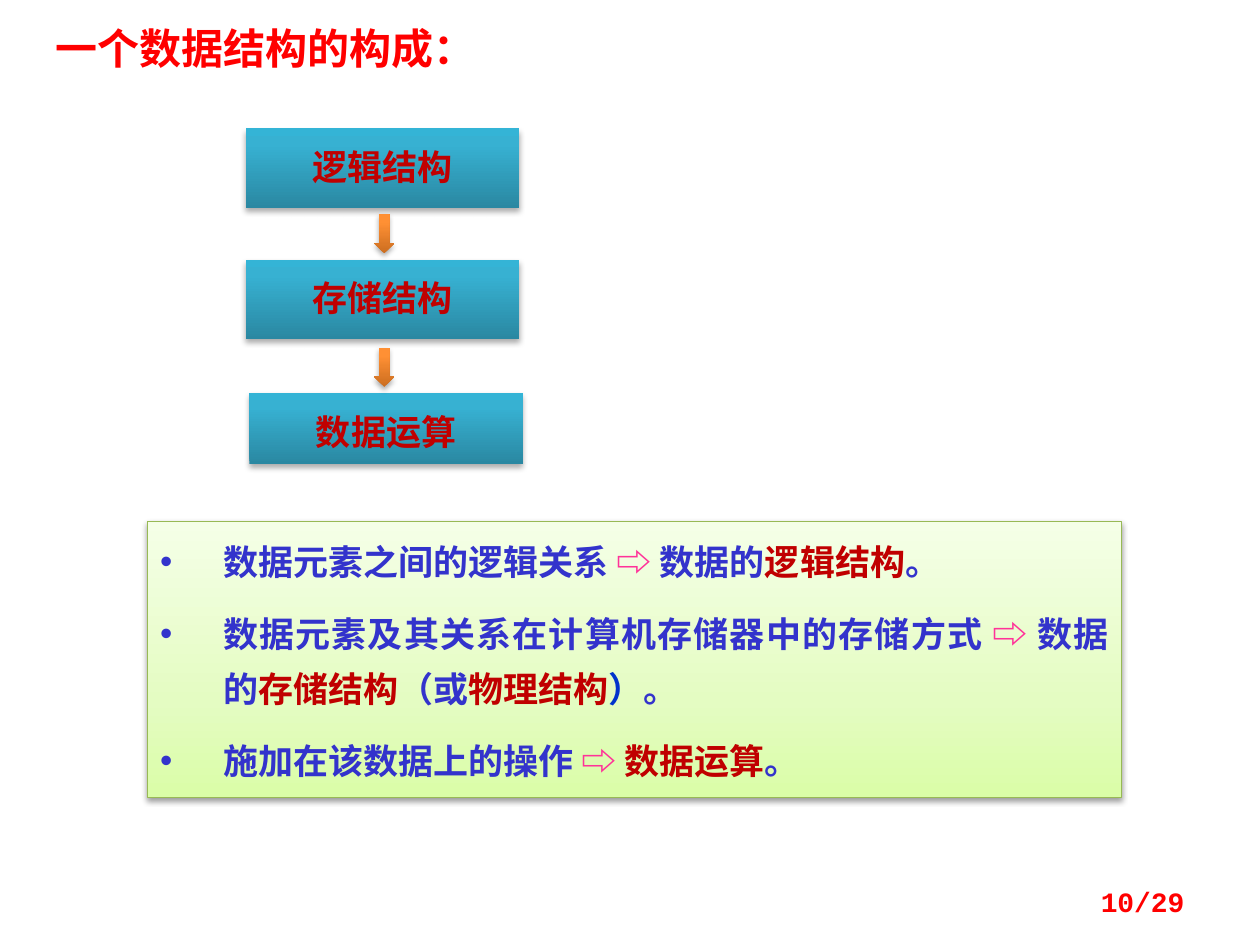
"""Build a slide on the three parts that make up a data structure."""
from pptx import Presentation, util as u
from pptx.dml.color import RGBColor
from pptx.enum import shapes, text
from pptx.oxml import parse_xml
from pptx.oxml.ns import nsdecls, qn

RED = RGBColor(0xFF, 0x00, 0x00)
DARK_RED = RGBColor(0xC0, 0x00, 0x00)
INDIGO = RGBColor(0x33, 0x33, 0xCC)
BLUE = RGBColor(0x00, 0x33, 0xCC)
PINK = RGBColor(0xFF, 0x33, 0x99)
OLIVE = RGBColor(0x98, 0xB9, 0x55)
TEAL_STOPS = [(0, RGBColor(0x2A, 0x88, 0xA2)), (80, RGBColor(0x37, 0xB1, 0xD2)),
              (100, RGBColor(0x34, 0xB4, 0xD6))]
ORANGE_STOPS = [(0, RGBColor(0xCC, 0x6E, 0x20)), (80, RGBColor(0xFF, 0x90, 0x34)),
                (100, RGBColor(0xFF, 0x91, 0x36))]
GREEN_STOPS = [(0, RGBColor(0xDA, 0xFD, 0xA7)), (35, RGBColor(0xE4, 0xFC, 0xC2)),
               (100, RGBColor(0xF5, 0xFF, 0xE7))]
CHINESE = "Noto Sans CJK SC"
ARROW = ("⇨ ", PINK)

deck = Presentation()
deck.slide_width, deck.slide_height = u.Inches(10), u.Inches(7.5)
col, row = deck.slide_width / 100, deck.slide_height / 100
slide = deck.slides.add_slide(deck.slide_layouts[1])


def write(part, paragraphs, size=20, font=CHINESE, align=text.PP_ALIGN.CENTER,
          anchor=text.MSO_ANCHOR.TOP, spacing=1.0, before=0, hanging=0, wrap=True):
    frame = part.text_frame
    frame.word_wrap = wrap
    frame.auto_size = text.MSO_AUTO_SIZE.NONE
    frame.vertical_anchor = anchor
    for index, pieces in enumerate(paragraphs):
        paragraph = frame.add_paragraph() if index else frame.paragraphs[0]
        paragraph.alignment = align
        paragraph.line_spacing = spacing
        paragraph.space_before = u.Pt(before if index else 0)
        if hanging:
            properties = paragraph._p.get_or_add_pPr()
            properties.set("marL", str(u.Inches(hanging)))
            properties.set("indent", str(-u.Inches(hanging)))
        for words, color in pieces:
            run = paragraph.add_run()
            run.text = words
            run.font.size = u.Pt(size)
            run.font.bold = True
            run.font.color.rgb = color
            run.font.name = font
            run.font._element.find(qn("a:latin")).addnext(
                parse_xml(f'<a:ea {nsdecls("a")} typeface="{font}"/>'))


def paint(part, stops, blur, distance, opacity, outline=None):
    part.fill.gradient()
    part.fill.gradient_angle = 90
    stop_list = part._element.spPr.find(qn("a:gradFill")).find(qn("a:gsLst"))
    for old in list(stop_list):
        stop_list.remove(old)
    for position, color in stops:
        stop_list.append(parse_xml(
            f'<a:gs {nsdecls("a")} pos="{position * 1000}"><a:srgbClr val="{color}"/></a:gs>'))
    if outline:
        part.line.color.rgb = outline
        part.line.width = u.Pt(0.75)
    else:
        part.line.fill.background()
    part._element.spPr.append(parse_xml(
        f'<a:effectLst {nsdecls("a")}><a:outerShdw blurRad="{u.Pt(blur)}" dist="{u.Pt(distance)}" '
        f'dir="5400000" algn="ctr" rotWithShape="0"><a:srgbClr val="000000">'
        f'<a:alpha val="{opacity * 1000}"/></a:srgbClr></a:outerShdw></a:effectLst>'))


heading = slide.shapes.title
heading.left, heading.top = int(3.1 * col), int(2.8 * row)
heading.width, heading.height = int(35.9 * col), int(5.6 * row)
write(heading, [[("一个数据结构的构成：", RED)]], size=24, spacing=0.8, wrap=False)

stages = [("逻辑结构", 19.5, 13.6, 8.4), ("存储结构", 19.5, 27.47, 8.4), ("数据运算", 19.8, 41.6, 7.47)]
for name, left, top, height in stages:
    stage = slide.shapes.add_shape(shapes.MSO_SHAPE.RECTANGLE, int(left * col), int(top * row),
                                   int(21.7 * col), int(height * row))
    paint(stage, TEAL_STOPS, blur=3.5, distance=2.2, opacity=32)
    stage.text_frame.margin_top = u.Inches(0.2)
    write(stage, [[(name, DARK_RED)]], spacing=0.8)

for top in (22.67, 36.8):
    step = slide.shapes.add_shape(shapes.MSO_SHAPE.DOWN_ARROW, int(29.7 * col), int(top * row),
                                  int(1.6 * col), int(4.13 * row))
    paint(step, ORANGE_STOPS, blur=3.1, distance=1.8, opacity=35)

definitions = slide.placeholders[1]
definitions.left, definitions.top = int(11.7 * col), int(55.2 * row)
definitions.width, definitions.height = int(77.3 * col), int(29.2 * row)
paint(definitions, GREEN_STOPS, blur=3.1, distance=1.6, opacity=38, outline=OLIVE)
write(definitions, [
    [("数据元素之间的逻辑关系 ", INDIGO), ARROW, ("数据的", INDIGO), ("逻辑结构", DARK_RED), ("。", INDIGO)],
    [("数据元素及其关系在计算机存储器中的存储方式 ", INDIGO), ARROW, ("数据的", INDIGO),
     ("存储结构", DARK_RED), ("（或", INDIGO), ("物理结构", DARK_RED), ("）", BLUE), ("。", INDIGO)],
    [("施加在该数据上的操作 ", INDIGO), ARROW, ("数据运算", DARK_RED), ("。", INDIGO)],
], align=text.PP_ALIGN.JUSTIFY, spacing=1.3, before=10, hanging=0.5)

page = slide.shapes.add_textbox(int(71.7 * col), int(92.67 * row), int(23.3 * col), int(5.33 * row))
write(page, [[("10/29", RED)]], size=16, font="Courier New", align=text.PP_ALIGN.RIGHT,
      anchor=text.MSO_ANCHOR.MIDDLE)

deck.save("out.pptx")
